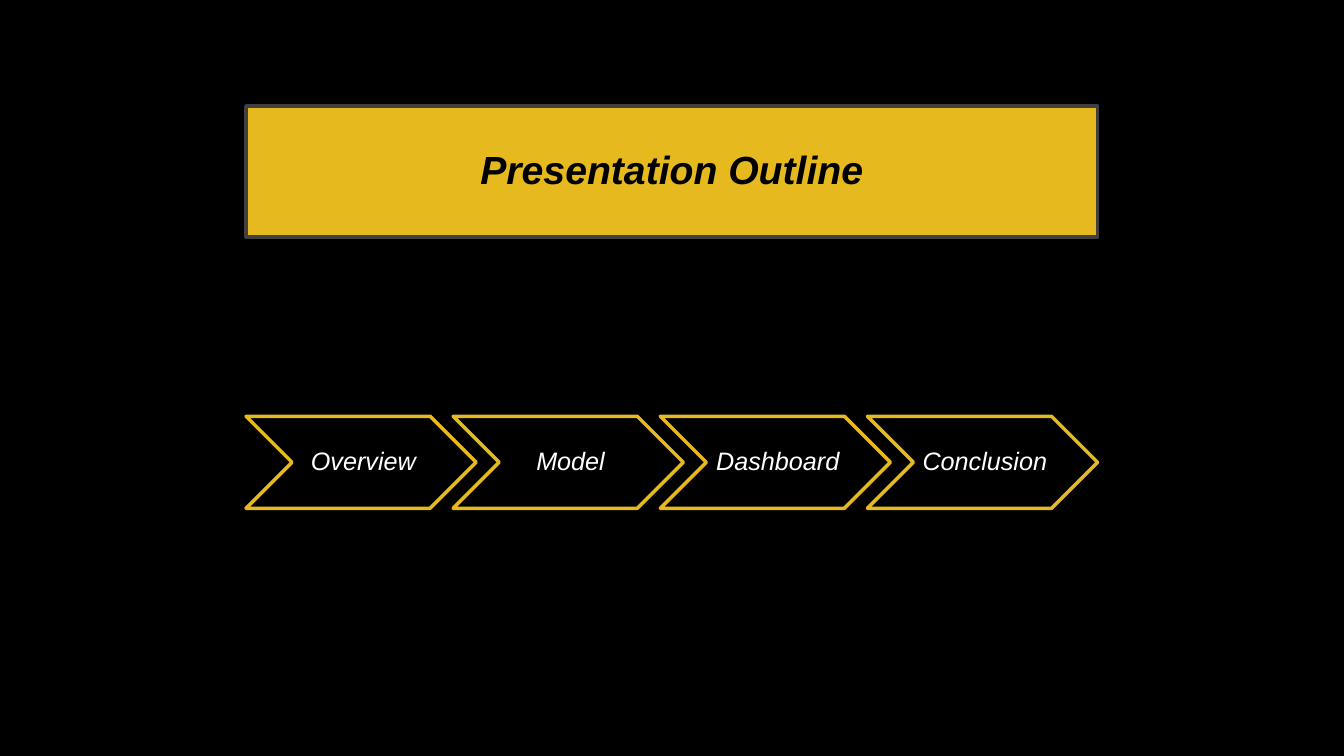
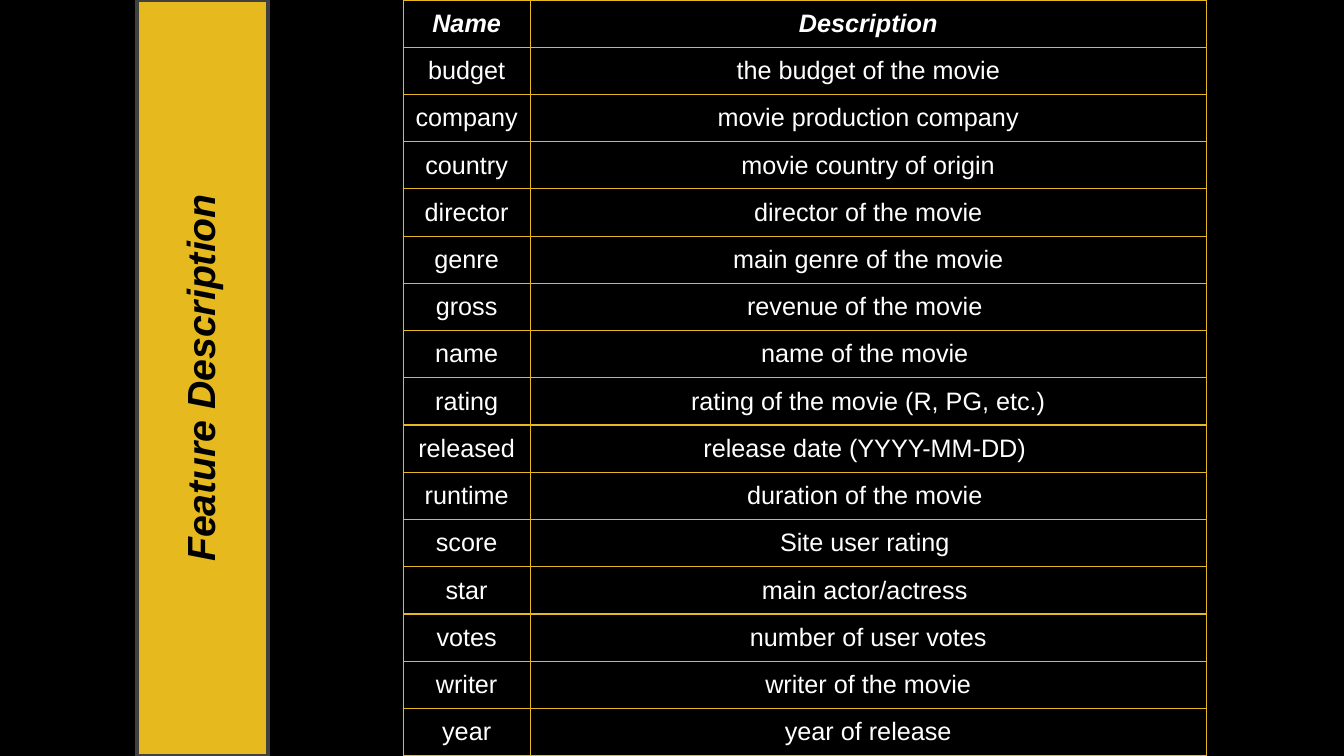
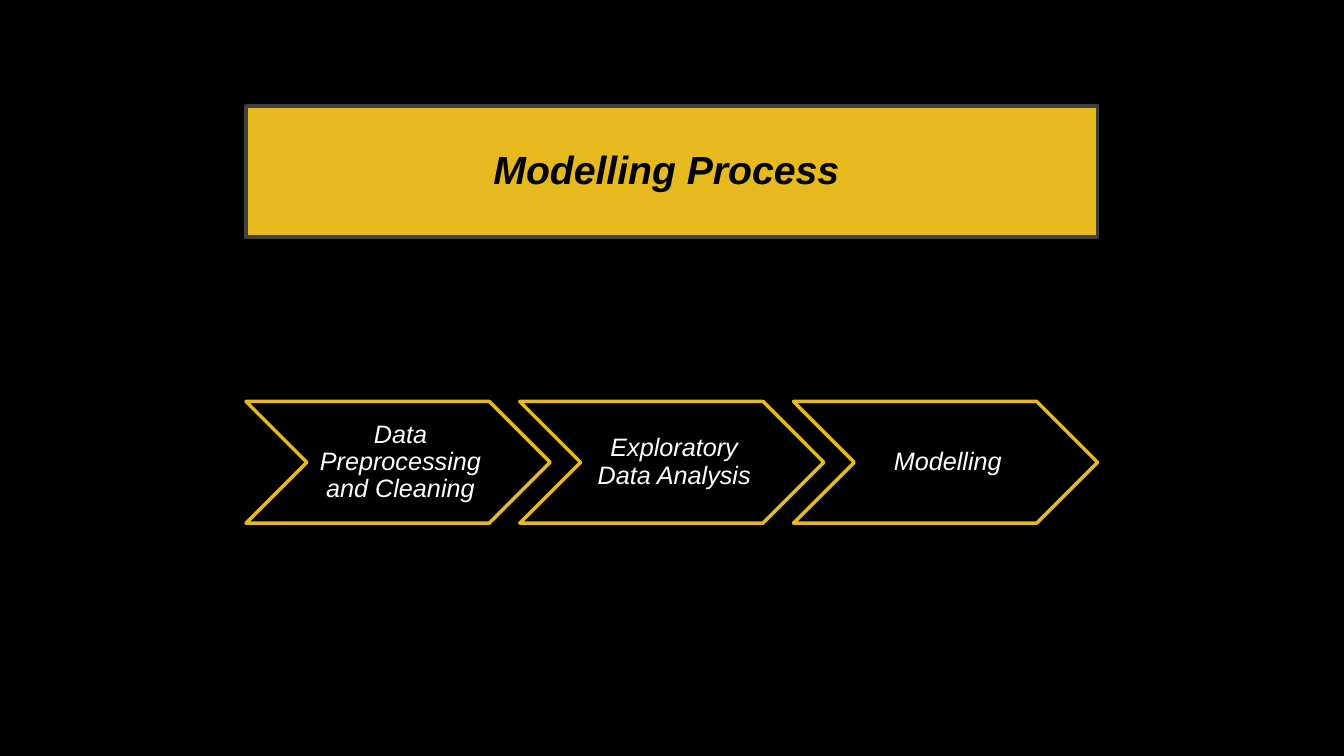
from lxml.etree import SubElement
from pptx import Presentation
from pptx.dml.color import RGBColor
from pptx.enum.shapes import MSO_SHAPE as Shape
from pptx.enum.text import MSO_ANCHOR as Anchor, PP_ALIGN as Align
from pptx.oxml.ns import qn
from pptx.util import Cm, Pt

BLACK = RGBColor(0x00, 0x00, 0x00)
WHITE = RGBColor(0xFF, 0xFF, 0xFF)
GOLD = RGBColor(0xE6, 0xB9, 0x1E)
GREY = RGBColor(0x40, 0x40, 0x40)

FONT = "Arial"
SLIDE_W, SLIDE_H = 33.87, 19.05
BAND_H = 3.3
TITLE_BOX = (6.2, 2.67, 21.46, BAND_H)
STEPS_BOX = (6.2, 10.1, 21.46, 3.1)
SIDE_TITLE_BOX = (3.45, 0, BAND_H, SLIDE_H)
FEATURE_BOX = (10.16, 0, 20.24, SLIDE_H)
NAME_W = 3.2

OUTLINE_STEPS = ("Overview", "Model", "Dashboard", "Conclusion")
MODELLING_STEPS = (
    "Data Preprocessing and Cleaning",
    "Exploratory Data Analysis",
    "Modelling",
)
FEATURES = (
    ("Name", "Description"),
    ("budget", "the budget of the movie"),
    ("company", "movie production company"),
    ("country", "movie country of origin"),
    ("director", "director of the movie"),
    ("genre", "main genre of the movie"),
    ("gross", "revenue of the movie "),
    ("name", "name of the movie "),
    ("rating", "rating of the movie (R, PG, etc.)"),
    ("released", "release date (YYYY-MM-DD) "),
    ("runtime", "duration of the movie "),
    ("score", "Site user rating "),
    ("star", "main actor/actress "),
    ("votes", "number of user votes"),
    ("writer", "writer of the movie"),
    ("year", "year of release"),
)


def write(frame, text, size=18, color=WHITE, bold=False, italic=False, spacing=1.0):
    """Write one centred paragraph into a text frame."""
    paragraph = frame.paragraphs[0]
    paragraph.alignment = Align.CENTER
    paragraph.line_spacing = spacing
    run = paragraph.add_run()
    run.text = text
    font = run.font
    font.name, font.size, font.color.rgb = FONT, Pt(size), color
    font.bold, font.italic = bold, italic


def add_panel(slide, kind, box, fill, line, margins):
    """Add a filled, outlined shape with middle-anchored, wrapping text."""
    panel = slide.shapes.add_shape(kind, *map(Cm, box))
    panel.shadow.inherit = False
    panel.fill.solid()
    panel.fill.fore_color.rgb = fill
    panel.line.color.rgb = line
    panel.line.width = Pt(2.5)
    frame = panel.text_frame
    frame.word_wrap = True
    frame.vertical_anchor = Anchor.MIDDLE
    frame.margin_left, frame.margin_top, frame.margin_right, frame.margin_bottom = map(Cm, margins)
    return panel


def add_title(slide, text, box, upright=False):
    """Add the gold title band; an upright band reads from bottom to top."""
    left, top, width, height = box
    if upright:
        shift = (width - height) / 2
        box = (left + shift, top - shift, height, width)
    band = add_panel(slide, Shape.RECTANGLE, box, GOLD, GREY, [0.5] * 4)
    band.rotation = 270 if upright else 0
    write(band.text_frame, text, size=28, color=BLACK, bold=True, italic=True, spacing=0.9)


def add_steps(slide, steps, box):
    """Spread overlapping chevrons over the box width, centred on its height."""
    left, top, width, height = box
    pitch, ratio = 0.9, 0.4
    step_w = width / (1 + pitch * (len(steps) - 1))
    step_h = ratio * step_w
    step_top = top + (height - step_h) / 2
    for index, step in enumerate(steps):
        step_box = (left + index * pitch * step_w, step_top, step_w, step_h)
        chevron = add_panel(slide, Shape.CHEVRON, step_box, BLACK, GOLD, (0.2, 0.08, 0.08, 0.08))
        write(chevron.text_frame, step, italic=True, spacing=0.9)


def add_borders(cell, color, width):
    """Draw the four borders of a table cell."""
    properties = cell._tc.get_or_add_tcPr()
    for side in ("a:lnL", "a:lnR", "a:lnT", "a:lnB"):
        border = SubElement(properties, qn(side), w=str(Pt(width)))
        fill = SubElement(border, qn("a:solidFill"))
        SubElement(fill, qn("a:srgbClr"), val=str(color))


def add_features(slide, features, box):
    """Fill the box with the table of feature names and descriptions."""
    table = slide.shapes.add_table(len(features), 2, *map(Cm, box)).table
    table.first_row = table.horz_banding = False
    for column, width in zip(table.columns, (NAME_W, box[2] - NAME_W)):
        column.width = Cm(width)
    for index, feature in enumerate(features):
        table.rows[index].height = Cm(box[3] / len(features))
        is_header = index == 0
        for cell, text in zip(table.rows[index].cells, feature):
            add_borders(cell, GOLD, 1)
            cell.fill.solid()
            cell.fill.fore_color.rgb = BLACK
            cell.vertical_anchor = Anchor.MIDDLE
            write(cell.text_frame, text, bold=is_header, italic=is_header)


def add_process_slide(deck, title, steps):
    """Add a slide with a title band above a row of chevrons."""
    slide = deck.slides.add_slide(deck.slide_layouts[6])
    add_title(slide, title, TITLE_BOX)
    add_steps(slide, steps, STEPS_BOX)


def add_feature_slide(deck, title, features):
    """Add a slide with an upright title band beside a table."""
    slide = deck.slides.add_slide(deck.slide_layouts[6])
    add_title(slide, title, SIDE_TITLE_BOX, upright=True)
    add_features(slide, features, FEATURE_BOX)


def main():
    """Build and save the deck."""
    deck = Presentation()
    deck.slide_width, deck.slide_height = Cm(SLIDE_W), Cm(SLIDE_H)
    background = deck.slide_master.background.fill
    background.solid()
    background.fore_color.rgb = BLACK
    add_process_slide(deck, "Presentation Outline", OUTLINE_STEPS)
    add_feature_slide(deck, "Feature Description", FEATURES)
    add_process_slide(deck, "Modelling Process ", MODELLING_STEPS)
    deck.save("out.pptx")


if __name__ == "__main__":
    main()
